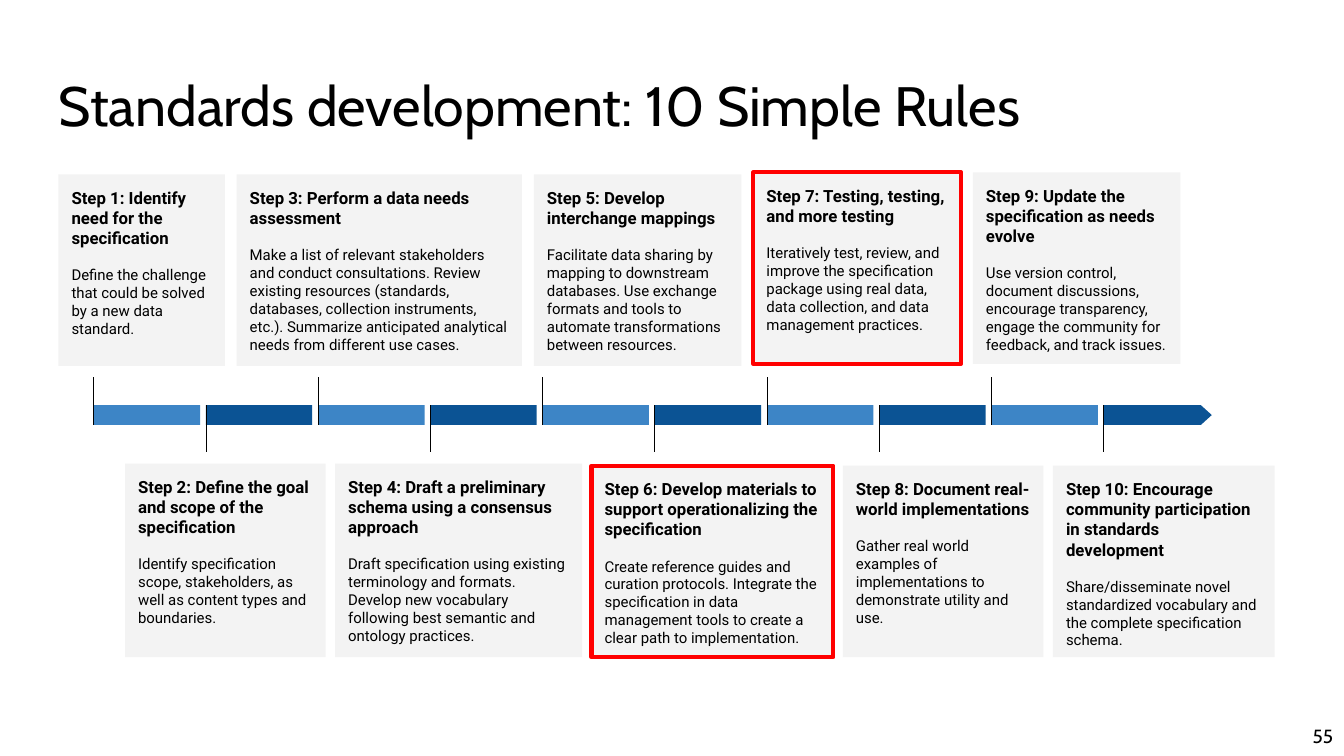
from lxml import etree
from pptx import Presentation, util as u
from pptx.dml.color import RGBColor
from pptx.enum import shapes, text
from pptx.oxml.ns import qn

WIDTH, HEIGHT = u.Inches(13.33), u.Inches(7.5)
BLACK, RED, GREY = "000000", "FF0000", "F3F3F3"
LIGHT_BLUE, DARK_BLUE = "3D85C6", "0B5394"

TIMELINE_LEFT, STEP_PITCH, BAR_WIDTH, ARROW_WIDTH = 6.98, 8.35, 7.91, 8.03
BAR_TOP, BAR_HEIGHT = 53.6, 2.6
TICK_TOP, TICK_BOTTOM = 49.87, 59.73
HIGHLIGHTED = {6, 7}

UPPER_CARDS = [
    (1, 12.38, 23.07, 25.33, "Identify need for the specification",
     "Define the challenge that could be solved by a new data standard."),
    (3, 21.23, 23.07, 25.33, "Perform a data needs assessment",
     "Make a list of relevant stakeholders and conduct consultations. Review existing "
     "resources (standards, databases, collection instruments, etc.). Summarize "
     "anticipated analytical needs from different use cases."),
    (5, 15.45, 23.07, 25.33, "Develop interchange mappings",
     "Facilitate data sharing by mapping to downstream databases. Use exchange formats "
     "and tools to automate transformations between resources."),
    (7, 15.45, 22.8, 25.33, "Testing, testing, and more testing",
     "Iteratively test, review, and improve the specification package using real data, "
     "data collection, and data management practices."),
    (9, 15.45, 22.8, 25.33, "Update the specification as needs evolve",
     "Use version control, document discussions, encourage transparency, engage the "
     "community for feedback, and track issues."),
]
LOWER_CARDS = [
    (2, 14.93, 61.33, 25.6, "Define the goal and scope of the specification",
     "Identify specification scope, stakeholders, as well as content types and boundaries."),
    (4, 18.38, 61.33, 25.6, "Draft a preliminary schema using a consensus approach",
     "Draft specification using existing terminology and formats. Develop new vocabulary "
     "following best semantic and ontology practices."),
    (6, 18, 61.6, 25.33, "Develop materials to support operationalizing the specification",
     "Create reference guides and curation protocols. Integrate the specification in data "
     "management tools to create a clear path to implementation."),
    (8, 14.93, 61.6, 25.33, "Document real-world implementations",
     "Gather real world examples of implementations to demonstrate utility and use."),
    (10, 16.5, 61.6, 25.33, "Encourage community participation in standards development",
     "Share/disseminate novel standardized vocabulary and the complete specification schema."),
]


def colour(value):
    return RGBColor.from_string(value)


def across(percent):
    return round(WIDTH * percent / 100)


def down(percent):
    return round(HEIGHT * percent / 100)


def area(left, top, width, height):
    return across(left), down(top), across(width), down(height)


def set_font(para, name, size, bold=False):
    para.font.name = name
    para.font.size = u.Pt(size)
    para.font.bold = bold
    para.font.color.rgb = colour(BLACK)


def prepare_frame(frame, inset, anchor):
    frame.word_wrap = True
    frame.auto_size = text.MSO_AUTO_SIZE.NONE
    frame.vertical_anchor = anchor
    frame.margin_left = frame.margin_right = u.Inches(inset)
    frame.margin_top = frame.margin_bottom = u.Inches(inset)


def add_block(page, kind, place, fill):
    block = page.shapes.add_shape(kind, *place)
    block.shadow.inherit = False
    block.fill.solid()
    block.fill.fore_color.rgb = colour(fill)
    block.line.fill.background()
    return block


def add_card(page, place, heading, body, highlighted):
    card = add_block(page, shapes.MSO_SHAPE.RECTANGLE, place, GREY)
    if highlighted:
        card.line.color.rgb = colour(RED)
        card.line.width = u.Pt(3)
    frame = card.text_frame
    prepare_frame(frame, 0.13, text.MSO_ANCHOR.TOP)
    for para, content, size, bold in (
        (frame.paragraphs[0], heading, 12, True),
        (frame.add_paragraph(), body, 10.7, False),
    ):
        para.text = content
        para.alignment = text.PP_ALIGN.LEFT
        set_font(para, "Roboto", size, bold)
    para.space_before = u.Pt(12.7)


def add_card_row(page, cards, left, gap):
    for number, width, top, height, heading, body in cards:
        add_card(page, area(left, top, width, height),
                 f"Step {number}: {heading}", body, number in HIGHLIGHTED)
        left += width + gap


def add_tick(page, left, top, bottom):
    tick = page.shapes.add_connector(
        shapes.MSO_CONNECTOR.STRAIGHT, across(left), down(top), across(left), down(bottom))
    tick.line.color.rgb = colour(BLACK)
    tick.line.width = u.Pt(0.75)
    etree.SubElement(tick._element.spPr, qn("a:effectLst"))


def add_timeline(page, steps):
    for step in range(steps):
        left = TIMELINE_LEFT + step * STEP_PITCH
        upper, last = step % 2 == 0, step == steps - 1
        kind = shapes.MSO_SHAPE.PENTAGON if last else shapes.MSO_SHAPE.RECTANGLE
        width = ARROW_WIDTH if last else BAR_WIDTH
        bar = add_block(page, kind, area(left, BAR_TOP, width, BAR_HEIGHT),
                        LIGHT_BLUE if upper else DARK_BLUE)
        if last:
            bar.adjustments[0] = 0.55
        if upper:
            add_tick(page, left, TICK_TOP, BAR_TOP + BAR_HEIGHT)
        else:
            add_tick(page, left, TICK_BOTTOM, BAR_TOP)


def add_title(page, content):
    title = page.shapes.title
    title.left, title.top, title.width, title.height = area(3.38, 8.67, 93.17, 11.2)
    prepare_frame(title.text_frame, 0.13, text.MSO_ANCHOR.TOP)
    para = title.text_frame.paragraphs[0]
    para.text = content
    para.alignment = text.PP_ALIGN.LEFT
    para.line_spacing = 0.9
    set_font(para, "Cabin", 39.6)


def add_page_number(page, number):
    box = page.shapes.add_textbox(*area(95.65, 94.67, 4.28, 5.33))
    prepare_frame(box.text_frame, 0.1, text.MSO_ANCHOR.MIDDLE)
    para = box.text_frame.paragraphs[0]
    para.text = number
    para.alignment = text.PP_ALIGN.RIGHT
    set_font(para, "Cabin", 13.6)


def main():
    deck = Presentation()
    deck.slide_width, deck.slide_height = WIDTH, HEIGHT
    page = deck.slides.add_slide(deck.slide_layouts[5])
    add_title(page, "Standards development: 10 Simple Rules")
    add_card_row(page, UPPER_CARDS, left=4.35, gap=0.88)
    add_card_row(page, LOWER_CARDS, left=9.3, gap=0.7)
    add_timeline(page, len(UPPER_CARDS) + len(LOWER_CARDS))
    add_page_number(page, "55")
    deck.save("out.pptx")


if __name__ == "__main__":
    main()
